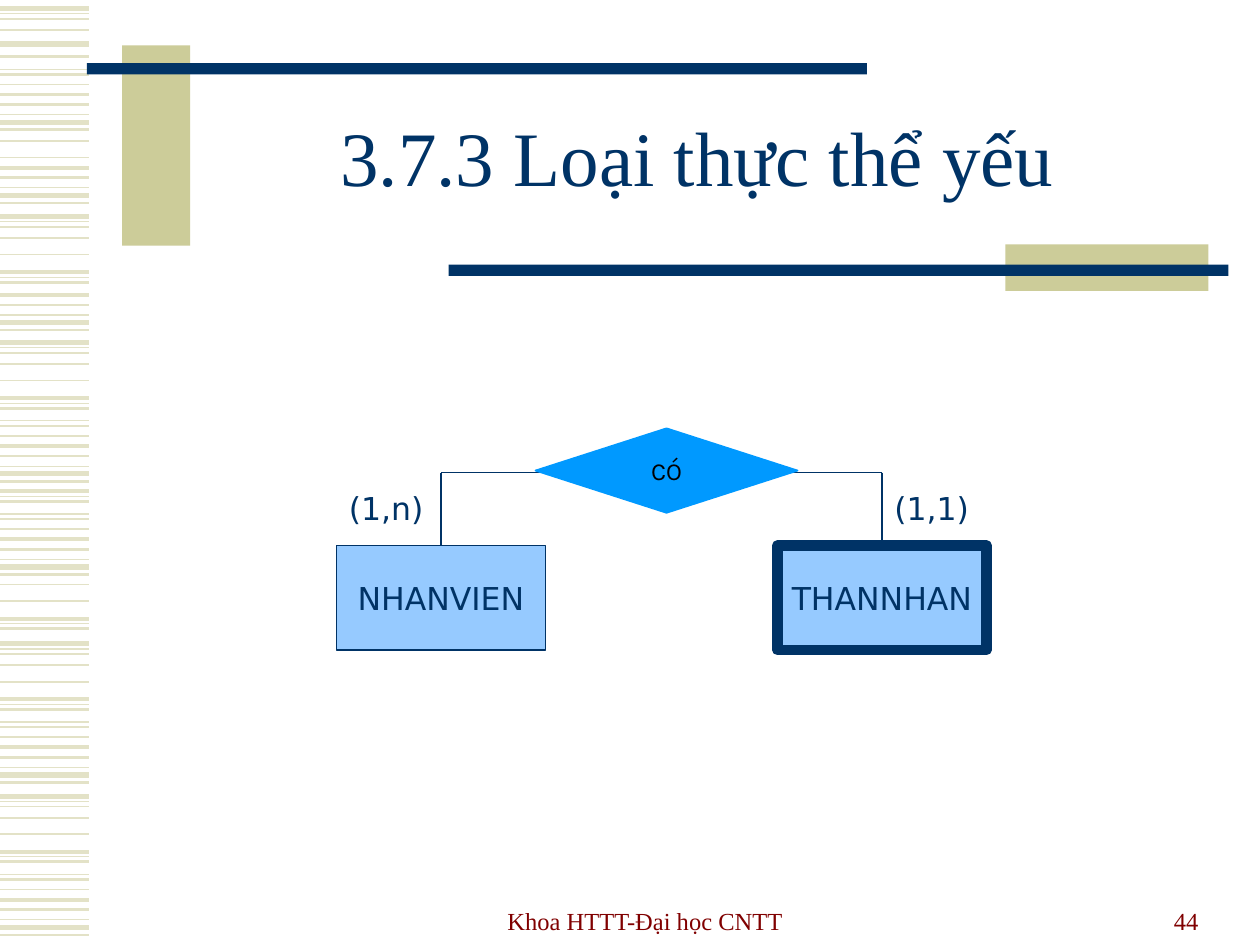
from pptx import Presentation
from pptx.dml.color import RGBColor
from pptx.enum.shapes import MSO_CONNECTOR, MSO_SHAPE
from pptx.enum.text import MSO_ANCHOR, PP_ALIGN
from pptx.oxml.ns import qn
from pptx.util import Inches, Pt
from lxml import etree

STRAIGHT = MSO_CONNECTOR.STRAIGHT
RECT, DECISION = MSO_SHAPE.RECTANGLE, MSO_SHAPE.FLOWCHART_DECISION
LEFT, CENTER, RIGHT = PP_ALIGN.LEFT, PP_ALIGN.CENTER, PP_ALIGN.RIGHT
TOP, MIDDLE, BOTTOM = MSO_ANCHOR.TOP, MSO_ANCHOR.MIDDLE, MSO_ANCHOR.BOTTOM

NAVY, KHAKI, PALE_KHAKI = "003366", "CCCC99", "E3E2C7"
LIGHT_BLUE, BLUE, MAROON, BLACK = "96CAFF", "0099FF", "800000", "000000"
SERIF, SANS, KARLA = "Times New Roman", "DejaVu Sans", "Karla"

# Stripe motif: (offset in inches, weight in points)
MOTIF = [(0, 3), (0.04, 0.75), (0.08, 1), (0.17, 1), (0.3, 1), (0.44, 2.25),
         (0.48, 0.75), (0.52, 1.5), (0.62, 0.75), (0.66, 1.5), (0.74, 1),
         (0.82, 2.25), (0.9, 1.5), (0.98, 0.75), (1.04, 3), (1.1, 1.5)]
# Each run of stripes: (motif origin, first stripe, stop before)
STRIPE_RUNS = [(0.07, 0, 4), (-0.07, 7, 16), (0.95, 3, 5), (0.51, 11, 16),
               (1.72, 0, 8), (1.52, 11, 16), (2.72, 0, 16), (3.46, 5, 16),
               (4.47, 3, 8), (5.11, 0, 16), (6.32, 0, 16)]


def rgb(code):
    return RGBColor.from_string(code)


class SlideBuilder:
    def __init__(self, slide):
        self.slide = slide

    def line(self, x1, y1, x2, y2, color=NAVY, weight=0.75):
        line = self.slide.shapes.add_connector(
            STRAIGHT, Inches(x1), Inches(y1), Inches(x2), Inches(y2))
        line.line.color.rgb = rgb(color)
        line.line.width = Pt(weight)
        etree.SubElement(line._element.spPr, qn("a:effectLst"))
        return line

    def shape(self, kind, x, y, w, h, fill, outline=None, weight=0.75):
        shape = self.slide.shapes.add_shape(
            kind, Inches(x), Inches(y), Inches(w), Inches(h))
        shape.shadow.inherit = False
        shape.fill.solid()
        shape.fill.fore_color.rgb = rgb(fill)
        if outline:
            shape.line.color.rgb = rgb(outline)
            shape.line.width = Pt(weight)
        else:
            shape.line.fill.background()
        return shape

    def label(self, shape, text, size=18, font=SANS, color=NAVY, align=CENTER,
              anchor=MIDDLE, wrap=True, before=None, spacing=None):
        frame = shape.text_frame
        frame.text = text
        frame.word_wrap = wrap
        frame.vertical_anchor = anchor
        paragraph = frame.paragraphs[0]
        paragraph.alignment = align
        if before:
            paragraph.space_before = Pt(before)
        if spacing:
            paragraph.line_spacing = spacing
        run_font = paragraph.runs[0].font
        run_font.size = Pt(size)
        run_font.name = font
        run_font.color.rgb = rgb(color)

    def text(self, x, y, w, h, text, **style):
        box = self.slide.shapes.add_textbox(
            Inches(x), Inches(y), Inches(w), Inches(h))
        self.label(box, text, **style)


def main():
    prs = Presentation()
    prs.slide_width, prs.slide_height = Inches(10), Inches(7.5)
    page = SlideBuilder(prs.slides.add_slide(prs.slide_layouts[6]))

    # Striped left margin
    stripes = [(origin + offset, weight) for origin, first, stop in STRIPE_RUNS
               for offset, weight in MOTIF[first:stop]]
    for y, weight in stripes + [(0.35, 3)]:
        page.line(0, y, 0.71, y, PALE_KHAKI, weight)

    # Bars around the title
    page.shape(RECT, 0.97, 0.36, 0.54, 1.59, KHAKI)
    page.shape(RECT, 0.69, 0.5, 6.19, 0.09, NAVY)
    page.shape(RECT, 7.98, 1.94, 1.61, 0.37, KHAKI)
    page.shape(RECT, 3.56, 2.1, 6.19, 0.09, NAVY)

    # Footer and title
    footer = dict(size=14, font=SERIF, color=MAROON, anchor=BOTTOM)
    page.text(3.43, 6.97, 3.38, 0.5, "Khoa HTTT-Đại học CNTT", **footer)
    page.text(7.21, 6.97, 2.4, 0.5, "44", align=RIGHT, **footer)
    page.text(1.5, 0.67, 8.07, 1.25, "3.7.3 Loại thực thể yếu",
              size=44, font=SERIF, spacing=0.85)

    # Entities with their links and cardinalities
    entities = [("NHANVIEN", 3.5, 0.75, 4.42, "(1,n)", 2.67),
                ("THANNHAN", 7, 6, 6.08, "(1,1)", 7)]
    for name, center, border, link_end, cardinality, label_x in entities:
        entity = page.shape(RECT, center - 0.83, 4.33, 1.66, 0.83,
                            LIGHT_BLUE, NAVY, border)
        page.label(entity, name, wrap=False)
        page.line(center, 3.75, link_end, 3.75)
        page.line(center, 3.75, center, 4.33).end_connect(entity, 0)
        page.text(label_x, 3.83, 1, 0.4, cardinality,
                  align=LEFT, anchor=TOP, before=11.2)

    # Relationship
    relationship = page.shape(DECISION, 4.25, 3.4, 2.08, 0.67, BLUE, BLUE, 1)
    page.label(relationship, "CÓ", size=14, font=KARLA, color=BLACK, before=8.8)

    prs.save("out.pptx")


if __name__ == "__main__":
    main()
